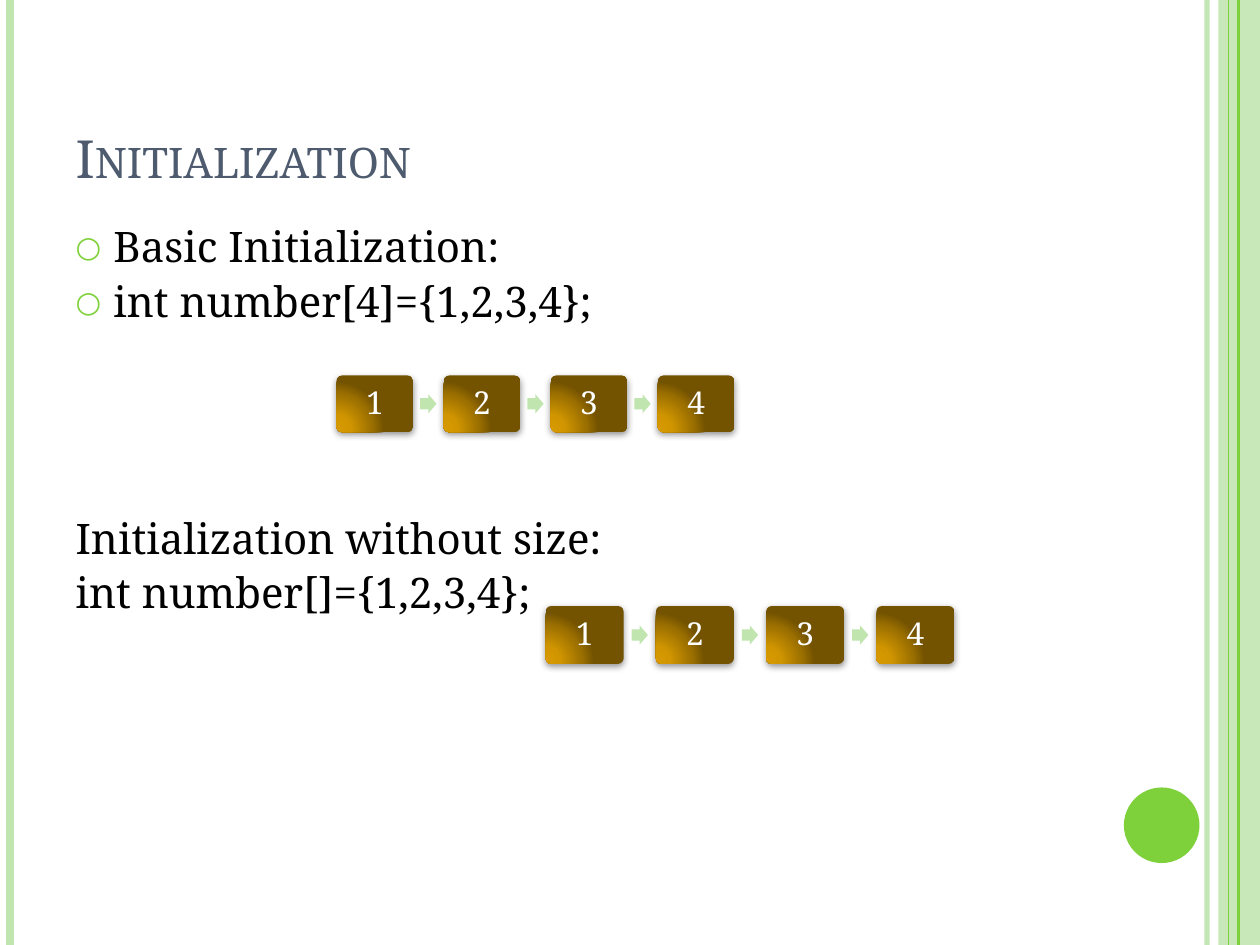
from lxml.etree import SubElement
from pptx import Presentation
from pptx.dml.color import RGBColor
from pptx.enum.shapes import MSO_CONNECTOR, MSO_SHAPE
from pptx.enum.text import MSO_ANCHOR, MSO_AUTO_SIZE, PP_ALIGN
from pptx.oxml import parse_xml
from pptx.oxml.ns import nsdecls, qn
from pptx.util import Inches, Pt

# Content
TITLE = "Initialization"
BODY = [  # text, bulleted, space before in points
    ("Basic Initialization:", True, 6),
    ("int number[4]={1,2,3,4};", True, 6),
    ("Initialization without size:", False, 110),
    ("int number[]={1,2,3,4};", False, 6),
]
VALUES = ["1", "2", "3", "4"]
CHAINS = [  # left, top, box width, box height, pitch
    (2.67, 2.98, 0.61, 0.45, 0.85),
    (4.33, 4.81, 0.62, 0.46, 0.875),
]
STRIPES = [  # x, colour, width in points, opacity in percent
    (9.58, "pale", 3, 93),
    (0.08, "pale", 4.5, 100),
    (9.83, "green", 1.5, 100),
    (9.75, "green", 0.75, 100),
]
THEME = {
    "font": "Noto Serif", "title_size": 30, "body_size": 24, "box_size": 18,
    "pale": "C0E5AF", "green": "7FD13B", "title": "4E5B6F",
    "text": "000000", "white": "FFFFFF",
    "gold": [(0, "D89A00"), (30, "D09500"), (75, "9C7000"), (100, "745300")],
}
WIDTH, HEIGHT = 10, 7.5
ARROW_W, ARROW_H = 0.13, 0.15


def rgb(name):
    return RGBColor.from_string(THEME[name])


def style(p, size, color):
    for r in p.runs:
        r.font.name = THEME["font"]
        r.font.size = Pt(THEME[size])
        r.font.color.rgb = rgb(color)


def set_alpha(part, percent):
    for clr in part.iter(qn("a:srgbClr")):
        SubElement(clr, qn("a:alpha"), val=str(percent * 1000))


def place(shape, *box):
    shape.left, shape.top, shape.width, shape.height = map(Inches, box)


def add_shape(shapes, kind, box, color):
    sp = shapes.add_shape(kind, *map(Inches, box))
    sp.shadow.inherit = False
    sp.fill.solid()
    sp.fill.fore_color.rgb = rgb(color)
    sp.line.fill.background()
    return sp


def make_glossy(sp):
    stops = "".join(f'<a:gs pos="{pos * 1000}"><a:srgbClr val="{c}"/></a:gs>'
                    for pos, c in THEME["gold"])
    gradient = parse_xml(
        f'<a:gradFill {nsdecls("a")} rotWithShape="1"><a:gsLst>{stops}</a:gsLst>'
        '<a:path path="circle"><a:fillToRect l="5000" t="100000" r="120000" '
        'b="10000"/></a:path></a:gradFill>')
    spPr = sp._element.spPr
    spPr.replace(spPr.find(qn("a:solidFill")), gradient)
    shadow = SubElement(spPr.find(qn("a:effectLst")), qn("a:outerShdw"),
                        blurRad=str(Pt(4)), dist=str(Pt(1.6)), dir="5400000",
                        rotWithShape="0")
    SubElement(shadow, qn("a:srgbClr"), val="000000")
    set_alpha(shadow, 42)


def add_chain(s, left, top, w, h, pitch):
    shapes = s.shapes.add_group_shape().shapes
    for i, value in enumerate(VALUES):
        x = left + i * pitch
        if i:
            gap_middle = x - (pitch - w) / 2
            arrow = add_shape(shapes, MSO_SHAPE.RIGHT_ARROW,
                              (gap_middle - ARROW_W / 2, top + (h - ARROW_H) / 2,
                               ARROW_W, ARROW_H), "pale")
            arrow.adjustments[0] = 0.6
        sp = add_shape(shapes, MSO_SHAPE.ROUNDED_RECTANGLE, (x, top, w, h), "pale")
        sp.adjustments[0] = 0.1
        make_glossy(sp)
        tf = sp.text_frame
        tf.text = value
        tf.vertical_anchor = MSO_ANCHOR.MIDDLE
        tf.margin_left = tf.margin_right = Inches(0.07)
        tf.margin_top = tf.margin_bottom = Inches(0.07)
        p = tf.paragraphs[0]
        p.alignment = PP_ALIGN.CENTER
        p.line_spacing = 0.9
        style(p, "box_size", "white")


prs = Presentation()
prs.slide_width, prs.slide_height = Inches(WIDTH), Inches(HEIGHT)
s = prs.slides.add_slide(prs.slide_layouts[1])

# Side stripes, band and disc
add_shape(s.shapes, MSO_SHAPE.RECTANGLE, (9.67, 0, 0.33, HEIGHT), "pale")
set_alpha(s.shapes[-1]._element.spPr, 87)
for x, color, weight, opacity in STRIPES:
    line = s.shapes.add_connector(MSO_CONNECTOR.STRAIGHT, Inches(x), 0,
                                  Inches(x), Inches(HEIGHT))
    line.line.color.rgb = rgb(color)
    line.line.width = Pt(weight)
    if opacity < 100:
        set_alpha(line._element.spPr, opacity)
    SubElement(line._element.spPr, qn("a:effectLst"))
add_shape(s.shapes, MSO_SHAPE.OVAL, (8.92, 6.25, 0.6, 0.6), "green")

# Title
title = s.shapes.title
place(title, 0.5, 0.3, 8.17, 1.25)
tf = title.text_frame
tf.text = TITLE
tf.vertical_anchor = MSO_ANCHOR.BOTTOM
tf.auto_size = MSO_AUTO_SIZE.NONE
p = tf.paragraphs[0]
p.alignment = PP_ALIGN.LEFT
style(p, "title_size", "title")
p.runs[0].font._element.set("cap", "small")

# Body list
body = s.placeholders[1]
place(body, 0.5, 1.75, 8.17, 5.33)
tf = body.text_frame
tf.text = "\n".join(text for text, _, _ in BODY)
tf.auto_size = MSO_AUTO_SIZE.NONE
for p, (_, bulleted, space) in zip(tf.paragraphs, BODY):
    p.space_before = Pt(space)
    p.line_spacing = 0.88
    style(p, "body_size", "text")
    pPr = p._p.get_or_add_pPr()
    pPr.set("marL", str(Inches(0.3)))
    pPr.set("indent", str(-Inches(0.3)))
    if bulleted:
        SubElement(SubElement(pPr, qn("a:buClr")), qn("a:srgbClr"), val=THEME["green"])
        SubElement(pPr, qn("a:buSzPct"), val="70000")
        SubElement(pPr, qn("a:buFont"), typeface=THEME["font"])
        SubElement(pPr, qn("a:buChar"), char="○")
    else:
        SubElement(pPr, qn("a:buNone"))

# Array diagrams
for chain in CHAINS:
    add_chain(s, *chain)

prs.save("out.pptx")
